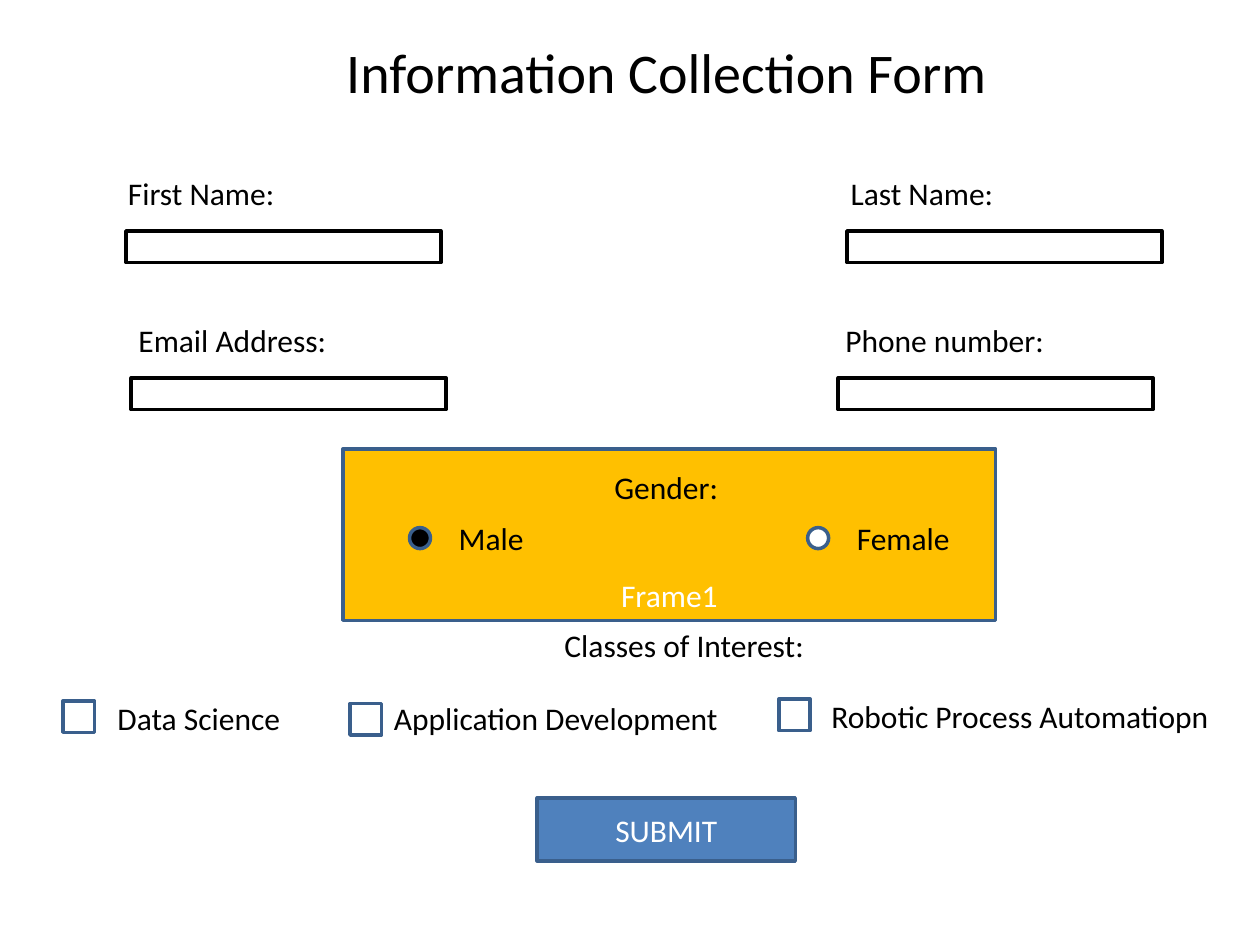
from pptx import Presentation
from pptx.dml.color import RGBColor
from pptx.enum.shapes import MSO_SHAPE as SHAPE
from pptx.enum.text import MSO_ANCHOR as ANCHOR, MSO_AUTO_SIZE as AUTO_SIZE, PP_ALIGN as ALIGN
from pptx.util import Pt

COLORS = {
    "black": "000000",
    "white": "FFFFFF",
    "outline": "3A5F8C",
    "frame": "FFC000",
    "button": "4F81BD",
}

prs = Presentation()
prs.slide_width, prs.slide_height = Pt(720), Pt(540)
slide = prs.slides.add_slide(prs.slide_layouts[6])


def write(text, box=None, shape=None, size=18, color="black", align=ALIGN.LEFT, anchor=ANCHOR.TOP):
    """Put text into a shape, or into a new unwrapped text box at box."""
    target = shape or slide.shapes.add_textbox(*map(Pt, box))
    frame = target.text_frame
    if shape is None:
        frame.word_wrap = False
        frame.auto_size = AUTO_SIZE.SHAPE_TO_FIT_TEXT
    frame.vertical_anchor = anchor
    paragraph = frame.paragraphs[0]
    paragraph.alignment = align
    run = paragraph.add_run()
    run.text = text
    run.font.name = "Calibri"
    run.font.size = Pt(size)
    run.font.color.rgb = RGBColor.from_string(COLORS[color])


def draw(kind, box, fill="white", line="outline"):
    shape = slide.shapes.add_shape(kind, *map(Pt, box))
    shape.shadow.inherit = False
    shape.fill.solid()
    shape.fill.fore_color.rgb = RGBColor.from_string(COLORS[fill])
    shape.line.color.rgb = RGBColor.from_string(COLORS[line])
    shape.line.width = Pt(2)
    return shape


LABEL_HEIGHT = 29

# Gender frame, behind everything else
gender_frame = draw(SHAPE.RECTANGLE, (196, 256.5, 373, 98), fill="frame")
write("Frame1", shape=gender_frame, color="white", align=ALIGN.CENTER, anchor=ANCHOR.BOTTOM)

write("Information Collection Form", (188.5, 18, 385, 46), size=32, align=ALIGN.CENTER)

# Entry fields: label, label left, label top, label width, field left
for label, left, top, width, field_left in [
    ("First Name:", 66, 96, 99, 72),
    ("Last Name:", 479, 96, 97, 484),
    ("Email Address:", 72, 180, 123, 75),
    ("Phone number:", 476, 180, 130, 479),
]:
    write(label, (left, top, width, LABEL_HEIGHT))
    draw(SHAPE.RECTANGLE, (field_left, top + 36, 180, 18), line="black")

# Gender choice
write("Gender:", (344, 264, 75, LABEL_HEIGHT))
for gender, left, width, fill in [("Male", 234, 52, "black"), ("Female", 461.5, 68, "white")]:
    draw(SHAPE.OVAL, (left, 301.5, 12, 12), fill=fill)
    write(gender, (left + 21, 293, width, LABEL_HEIGHT))

# Class choice: label, label left, label top, label width, checkbox left, checkbox top
write("Classes of Interest:", (315.5, 354, 152.5, LABEL_HEIGHT))
for course, left, top, width, check_left, check_top in [
    ("Data Science", 60, 396, 109, 36, 400.5),
    ("Application Development", 218, 396, 202, 200, 402),
    ("Robotic Process Automatiopn", 468, 395, 232.5, 445, 399.5),
]:
    write(course, (left, top, width, LABEL_HEIGHT))
    draw(SHAPE.RECTANGLE, (check_left, check_top, 18, 18))

submit = draw(SHAPE.RECTANGLE, (307, 456, 147.5, 36), fill="button")
write("SUBMIT", shape=submit, color="white", align=ALIGN.CENTER, anchor=ANCHOR.MIDDLE)

prs.save("out.pptx")
